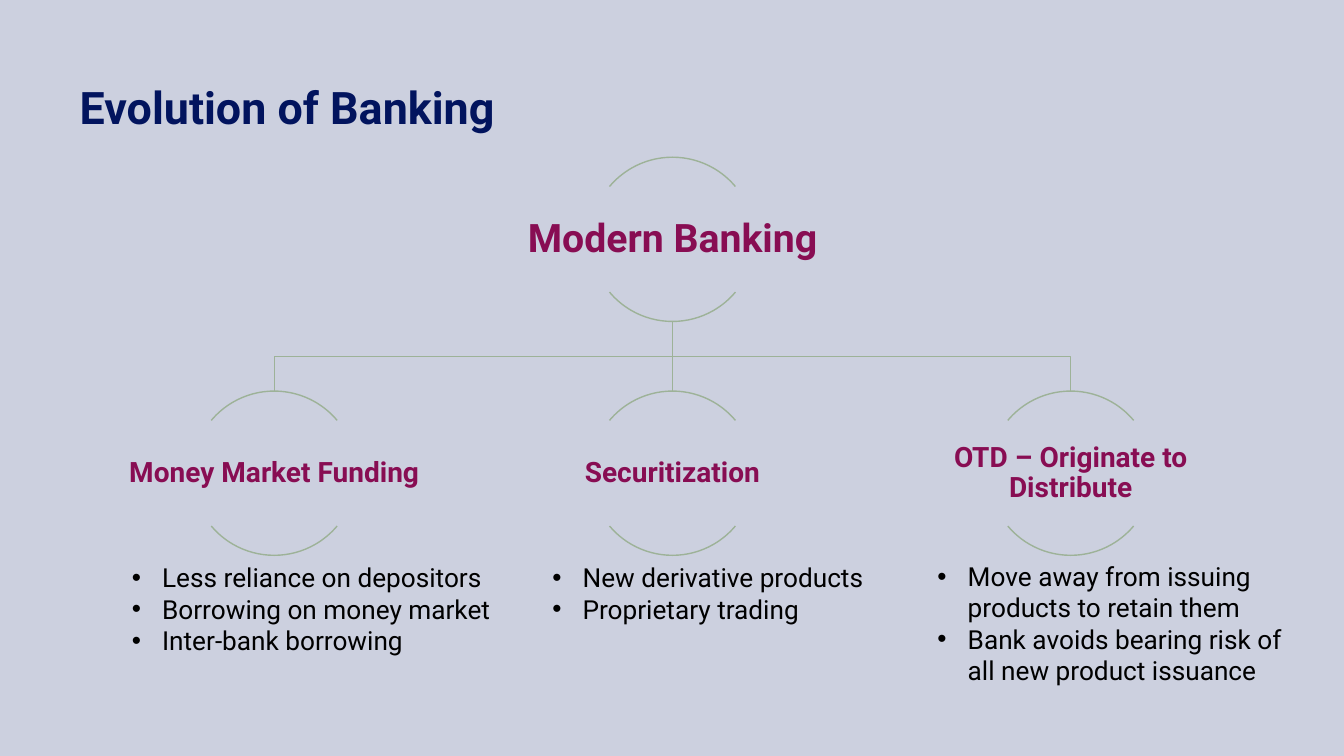
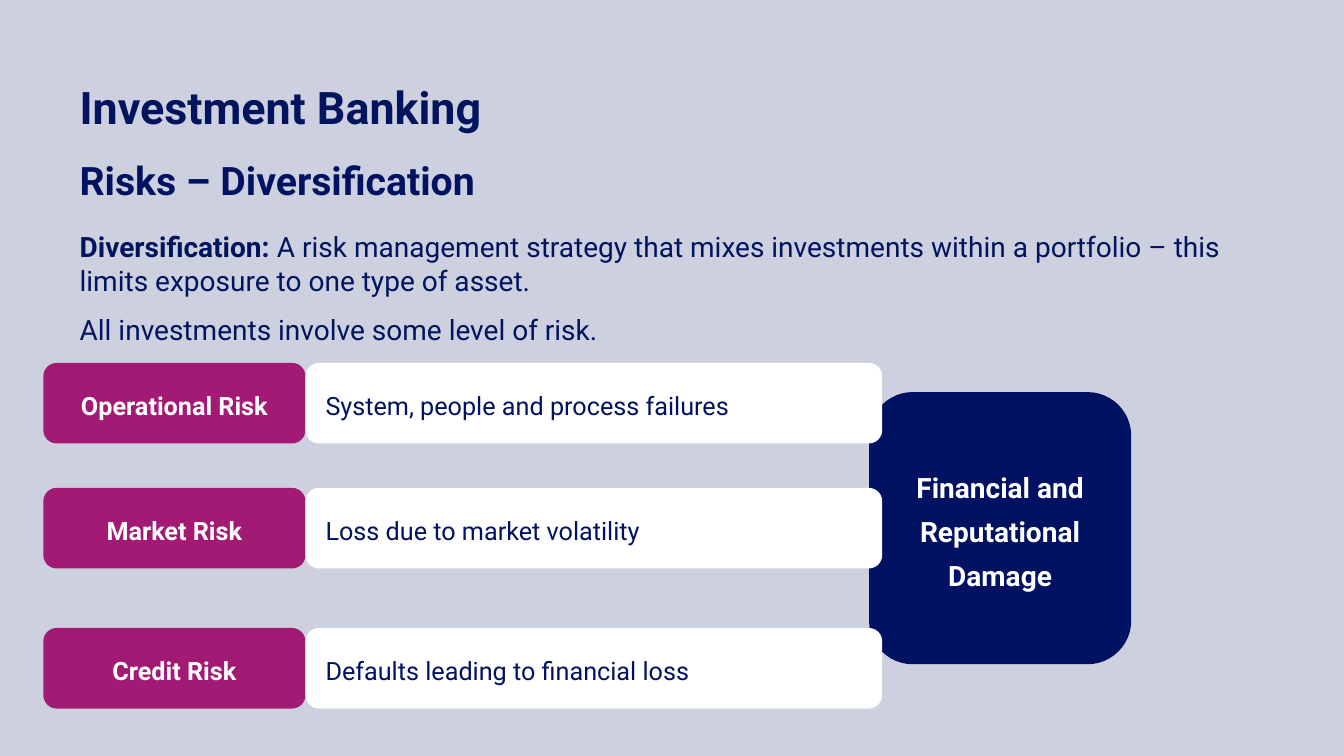
from dataclasses import dataclass
from typing import Any

from lxml import etree
from pptx import Presentation
from pptx.dml.color import RGBColor
from pptx.enum import shapes, text
from pptx.oxml import ns
from pptx.util import Inches, Pt

FONT = "Roboto"
NAVY = RGBColor(0x02, 0x14, 0x5E)
DEEP_NAVY = RGBColor(0x00, 0x12, 0x61)
PLUM = RGBColor(0x88, 0x0D, 0x53)
MAGENTA = RGBColor(0xA3, 0x1A, 0x75)
SAGE = RGBColor(0x9D, 0xB2, 0x98)
BACKDROP = RGBColor(0xCC, 0xD0, 0xDF)
WHITE = RGBColor(0xFF, 0xFF, 0xFF)
BLACK = RGBColor(0x00, 0x00, 0x00)

LEFT_MARGIN = 0.79
CENTER_X, COLUMN_PITCH = 6.67, 3.95
CIRCLE = 1.63
ROOT_TOP, BRANCH_TOP = 1.56, 3.88
ROOT_BOTTOM = ROOT_TOP + CIRCLE
LABEL_WIDTH, LABEL_HEIGHT = 3.27, 1.05
ARC_ANGLES = ((220, 320), (40, 140))
CARD_INSETS = (0.16, 0.16, 0.16, 0.2)
CARD_HEIGHT, CARD_LEFT, RISK_WIDTH, EFFECT_WIDTH = 0.8, 0.43, 2.6, 5.72


@dataclass(frozen=True)
class Box:
    left: float
    top: float
    width: float
    height: float

    def lengths(self) -> list[int]:
        return [Inches(value) for value in (self.left, self.top, self.width, self.height)]


@dataclass(frozen=True)
class Style:
    size: float
    color: RGBColor
    bold: bool = False
    align: Any = text.PP_ALIGN.LEFT
    line_spacing: float = 1.0
    space_after: float = 0


@dataclass(frozen=True)
class Branch:
    label: str
    bullets: tuple[str, ...]
    bullet_box: Box


@dataclass(frozen=True)
class Risk:
    name: str
    effect: str
    top: float


TITLE = Style(32, NAVY, bold=True)
SUBTITLE = Style(28, DEEP_NAVY, bold=True)
BODY = Style(20, NAVY, space_after=10.9)
BULLET = Style(18.7, BLACK)
ROOT_LABEL = Style(28, PLUM, True, text.PP_ALIGN.CENTER, 0.9)
BRANCH_LABEL = Style(20, PLUM, True, text.PP_ALIGN.CENTER, 0.9)
RISK_NAME = Style(18, WHITE, True, text.PP_ALIGN.CENTER, 1.3)
RISK_EFFECT = Style(18, DEEP_NAVY, line_spacing=1.3)
OUTCOME = Style(20, WHITE, True, text.PP_ALIGN.CENTER, 1.3)

BRANCHES = (
    Branch("Money Market Funding",
           ("Less reliance on depositors", "Borrowing on money market", "Inter-bank borrowing"),
           Box(1.21, 5.52, 3.86, 1.01)),
    Branch("Securitization",
           ("New derivative products", "Proprietary trading"),
           Box(5.38, 5.52, 3.51, 0.71)),
    Branch("OTD – Originate to Distribute",
           ("Move away from issuing products to retain them",
            "Bank avoids bearing risk of all new product issuance"),
           Box(9.2, 5.51, 3.64, 1.31)),
)
RISKS = (
    Risk("Operational Risk", "System, people and process failures", 3.6),
    Risk("Market Risk", "Loss due to market volatility", 4.84),
    Risk("Credit Risk", "Defaults leading to financial loss", 6.23),
)


# Shared helpers
def set_all(target: Any, values: dict[str, Any]) -> None:
    for name, value in values.items():
        setattr(target, name, value)


def add_bullet(paragraph: Any) -> None:
    properties = paragraph._p.get_or_add_pPr()
    properties.set("marL", str(Inches(0.3)))
    properties.set("indent", str(-Inches(0.3)))
    etree.SubElement(properties, ns.qn("a:buFont")).set("typeface", "Arial")
    etree.SubElement(properties, ns.qn("a:buChar")).set("char", "•")


def write_text(shape: Any, lines: tuple[str, ...], style: Style,
               insets: tuple[float, ...] = (0, 0, 0, 0),
               anchor: Any = text.MSO_ANCHOR.TOP, bulleted: bool = False) -> None:
    """Fill a shape; a line may open with a bold lead, marked off by '|'."""
    frame = shape.text_frame
    set_all(frame, {"word_wrap": True, "auto_size": text.MSO_AUTO_SIZE.NONE,
                    "vertical_anchor": anchor})
    sides = ("margin_left", "margin_top", "margin_right", "margin_bottom")
    set_all(frame, {side: Inches(inset) for side, inset in zip(sides, insets)})
    for index, line in enumerate(lines):
        paragraph = frame.paragraphs[0] if index == 0 else frame.add_paragraph()
        set_all(paragraph, {"alignment": style.align, "line_spacing": style.line_spacing,
                            "space_before": Pt(0), "space_after": Pt(style.space_after)})
        if bulleted:
            add_bullet(paragraph)
        lead, _, rest = line.rpartition("|")
        for part, bold in ((lead, True), (rest, style.bold)):
            if part:
                run = paragraph.add_run()
                run.text = part
                set_all(run.font, {"name": FONT, "size": Pt(style.size), "bold": bold})
                run.font.color.rgb = style.color


def add_text(slide: Any, box: Box, lines: tuple[str, ...], style: Style, **options: Any) -> None:
    write_text(slide.shapes.add_textbox(*box.lengths()), lines, style, **options)


def add_titled_slide(presentation: Any, title: str) -> Any:
    slide = presentation.slides.add_slide(presentation.slide_layouts[5])
    placeholder = slide.shapes.title
    sides = ("left", "top", "width", "height")
    set_all(placeholder, dict(zip(sides, Box(LEFT_MARGIN, 0.79, 8.72, 0.99).lengths())))
    write_text(placeholder, (title,), TITLE)
    return slide


def style_outline(shape: Any) -> None:
    shape.line.color.rgb = SAGE
    shape.line.width = Pt(1)


# Tree of modern banking
def add_node(slide: Any, center: float, top: float, label: str, style: Style) -> None:
    circle = Box(center - CIRCLE / 2, top, CIRCLE, CIRCLE)
    for angles in ARC_ANGLES:
        arc = slide.shapes.add_shape(shapes.MSO_SHAPE.ARC, *circle.lengths())
        for index, angle in enumerate(angles):
            arc.adjustments[index] = angle * 0.6  # 60,000ths of a degree over 100,000
        arc.fill.background()
        arc.shadow.inherit = False
        style_outline(arc)
    label_box = Box(center - LABEL_WIDTH / 2, top + (CIRCLE - LABEL_HEIGHT) / 2,
                    LABEL_WIDTH, LABEL_HEIGHT)
    add_text(slide, label_box, (label,), style, insets=(0.01,) * 4,
             anchor=text.MSO_ANCHOR.MIDDLE)


def add_link(slide: Any, center: float) -> None:
    if center == CENTER_X:
        link = slide.shapes.add_connector(
            shapes.MSO_CONNECTOR.STRAIGHT, Inches(center), Inches(ROOT_BOTTOM),
            Inches(center), Inches(BRANCH_TOP))
        etree.SubElement(link._element.spPr, ns.qn("a:effectLst"))
    else:
        middle = (ROOT_BOTTOM + BRANCH_TOP) / 2
        builder = slide.shapes.build_freeform(Inches(CENTER_X), Inches(ROOT_BOTTOM))
        corners = ((CENTER_X, middle), (center, middle), (center, BRANCH_TOP))
        builder.add_line_segments([(Inches(x), Inches(y)) for x, y in corners], close=False)
        link = builder.convert_to_shape()
        link.fill.background()
        link.shadow.inherit = False
    style_outline(link)


def build_evolution(presentation: Any) -> None:
    slide = add_titled_slide(presentation, "Evolution of Banking")
    centers = [CENTER_X + step * COLUMN_PITCH for step in (-1, 0, 1)]
    for center in centers:
        add_link(slide, center)
    add_node(slide, CENTER_X, ROOT_TOP, "Modern Banking", ROOT_LABEL)
    for center, branch in zip(centers, BRANCHES):
        add_node(slide, center, BRANCH_TOP, branch.label, BRANCH_LABEL)
        add_text(slide, branch.bullet_box, branch.bullets, BULLET,
                 insets=(0.1, 0.05, 0.1, 0.05), bulleted=True)


# Risk cards
def add_card(slide: Any, box: Box, label: str, fill: RGBColor, style: Style) -> None:
    card = slide.shapes.add_shape(shapes.MSO_SHAPE.ROUNDED_RECTANGLE, *box.lengths())
    card.fill.solid()
    card.fill.fore_color.rgb = fill
    card.line.fill.background()
    card.shadow.inherit = False
    write_text(card, (label,), style, CARD_INSETS, text.MSO_ANCHOR.MIDDLE)


def build_risks(presentation: Any) -> None:
    slide = add_titled_slide(presentation, "Investment Banking")
    add_text(slide, Box(LEFT_MARGIN, 1.55, 11.76, 0.6), ("Risks – Diversification",), SUBTITLE)
    add_text(slide, Box(LEFT_MARGIN, 2.28, 11.76, 1.25), (
        "Diversification: |A risk management strategy that mixes investments within a "
        "portfolio – this limits exposure to one type of asset.",
        "All investments involve some level of risk."), BODY)
    add_card(slide, Box(8.62, 3.89, 2.6, 2.7), "Financial and Reputational Damage",
             DEEP_NAVY, OUTCOME)
    for risk in RISKS:
        add_card(slide, Box(CARD_LEFT, risk.top, RISK_WIDTH, CARD_HEIGHT),
                 risk.name, MAGENTA, RISK_NAME)
        add_card(slide, Box(CARD_LEFT + RISK_WIDTH, risk.top, EFFECT_WIDTH, CARD_HEIGHT),
                 risk.effect, WHITE, RISK_EFFECT)


def main() -> None:
    presentation = Presentation()
    set_all(presentation, {"slide_width": Inches(13.33), "slide_height": Inches(7.5)})
    background = presentation.slide_master.background.fill
    background.solid()
    background.fore_color.rgb = BACKDROP
    build_evolution(presentation)
    build_risks(presentation)
    presentation.save("out.pptx")


if __name__ == "__main__":
    main()
